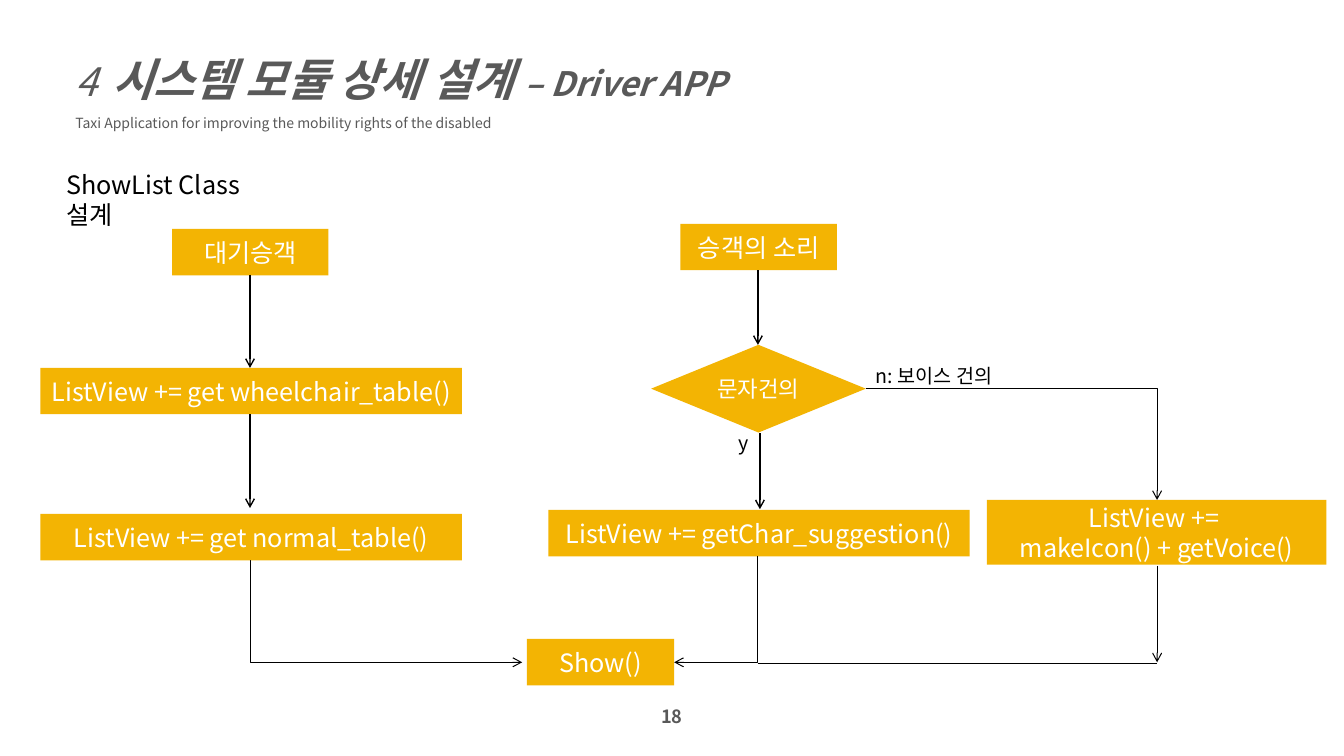
from lxml import etree
from pptx import Presentation
from pptx import util as u
from pptx.dml.color import RGBColor
from pptx.enum import shapes, text
from pptx.oxml.ns import qn

COLORS = {"box": "F3B403", "light": "FFFFFF", "dark": "000000", "title": "595959"}
FONT = "Noto Sans CJK KR"
BOX_HEIGHT = 1.17
WIDE, NARROW = 10.62, 3.94
LEFT_X, MIDDLE_X, RIGHT_X = 6.3, 19.1, 29.16
JOIN_Y = 16.69


class FlowPage:
    def __init__(self, deck):
        self.page = deck.slides.add_slide(deck.slide_layouts[6])

    def style(self, font, size, color, bold=None, italic=None):
        font.name, font.size = FONT, u.Pt(size)
        font.bold, font.italic = bold, italic
        font.color.rgb = RGBColor.from_string(COLORS[color])
        properties = font._element
        for tag in ("a:ea", "a:cs"):
            etree.SubElement(properties, qn(tag)).set("typeface", FONT)

    def text_box(self, x, y, width, height, wrap=True):
        box = self.page.shapes.add_textbox(u.Cm(x), u.Cm(y), u.Cm(width), u.Cm(height))
        box.text_frame.word_wrap = wrap
        box.text_frame.auto_size = text.MSO_AUTO_SIZE.SHAPE_TO_FIT_TEXT
        return box.text_frame

    def label(self, words, x, y, width, height, size, color="dark", wrap=False,
              bold=None, align=None):
        para = self.text_box(x, y, width, height, wrap).paragraphs[0]
        para.alignment = align
        span = para.add_run()
        span.text = words
        self.style(span.font, size, color, bold)

    def title(self, number, name, part, subtitle):
        frame = self.text_box(1.65, 0.51, 20.09, 2.9)
        heading, below = frame.paragraphs[0], frame.add_paragraph()
        for words, size, bold in ((number, 28, None), (" ", 24, None),
                                  (name, 32, True), (part, 24, True)):
            span = heading.add_run()
            span.text = words
            self.style(span.font, size, "title", bold, True)
            if words == " ":
                span.font._element.set("spc", "540")
        span = below.add_run()
        span.text = subtitle
        self.style(span.font, 10, "title", False, False)
        for para in (heading, below):
            para.line_spacing = 1.5

    def node(self, words, x, y, width, height=BOX_HEIGHT, size=18,
             kind=shapes.MSO_SHAPE.RECTANGLE):
        box = self.page.shapes.add_shape(kind, u.Cm(x), u.Cm(y), u.Cm(width), u.Cm(height))
        box.shadow.inherit = False
        box.fill.solid()
        box.fill.fore_color.rgb = RGBColor.from_string(COLORS["box"])
        box.line.fill.background()
        frame = box.text_frame
        frame.word_wrap = True
        frame.vertical_anchor = text.MSO_ANCHOR.MIDDLE
        frame.text = words
        for para in frame.paragraphs:
            para.alignment = text.PP_ALIGN.CENTER
            for span in para.runs:
                self.style(span.font, size, "light")

    def link(self, x1, y1, x2, y2, width=0.75, arrow=True,
             kind=shapes.MSO_CONNECTOR.STRAIGHT):
        line = self.page.shapes.add_connector(kind, u.Cm(x1), u.Cm(y1), u.Cm(x2), u.Cm(y2))
        line.line.width = u.Pt(width)
        line.line.color.rgb = RGBColor.from_string(COLORS["dark"])
        if arrow:
            stroke = line.line._get_or_add_ln()
            etree.SubElement(stroke, qn("a:tailEnd")).set("type", "arrow")
        etree.SubElement(line._element.spPr, qn("a:effectLst"))
        return line

    def elbow(self, x1, y1, x2, y2):
        """Run across, then down."""
        line = self.link(x1, y1, x2, y2, kind=shapes.MSO_CONNECTOR.ELBOW)
        line._element.spPr.find(qn("a:prstGeom")).set("prst", "bentConnector2")
        return line

    def elbow_down_left(self, x1, y1, x2, y2):
        """Run down, then left: an elbow turned a quarter about its centre."""
        middle_x, middle_y = (x1 + x2) / 2, (y1 + y2) / 2
        half_run, half_drop = (x1 - x2) / 2, (y2 - y1) / 2
        line = self.elbow(middle_x - half_drop, middle_y - half_run,
                          middle_x + half_drop, middle_y + half_run)
        line._element.spPr.find(qn("a:xfrm")).set("rot", str(90 * 60000))

    def elbow_down_right(self, x1, y1, x2, y2):
        """Run down, then right, with the bend next to the start."""
        line = self.link(x1, y1, x2, y2, kind=shapes.MSO_CONNECTOR.ELBOW)
        guides = line._element.spPr.find(qn("a:prstGeom")).find(qn("a:avLst"))
        guide = etree.SubElement(guides, qn("a:gd"))
        guide.set("name", "adj1")
        guide.set("fmla", "val 200")


def main():
    deck = Presentation()
    deck.slide_width, deck.slide_height = u.Cm(33.87), u.Cm(19.05)
    flow = FlowPage(deck)
    flow.title("4", "시스템 모듈 상세 설계 ", "– Driver APP",
               "Taxi Application for improving the mobility rights of the disabled")
    flow.label("18", 0, 17.65, 33.87, 0.81, 13, "title", True, True, text.PP_ALIGN.CENTER)
    flow.label("ShowList Class 설계", 1.42, 4.14, 6.1, 1.02, 18, wrap=True)

    # Waiting passengers
    flow.node("대기승객", 4.34, 5.77, NARROW)
    flow.node("ListView += get wheelchair_table()", 1.02, 9.27, WIDE)
    flow.node("ListView += get normal_table()", 1.02, 12.95, WIDE)
    flow.link(LEFT_X, 6.92, LEFT_X, 9.27, 1)
    flow.link(LEFT_X, 10.44, LEFT_X, 12.8, 1)

    # Passenger voices
    flow.node("승객의 소리", 17.15, 5.64, NARROW)
    flow.node("문자건의", 16.41, 8.69, 5.41, 2.21, 16, shapes.MSO_SHAPE.DIAMOND)
    flow.node("ListView += getChar_suggestion()", 13.82, 12.85, WIDE)
    flow.node("ListView += \nmakeIcon() + getVoice()", 24.87, 12.6, 8.56, 1.63)
    flow.link(MIDDLE_X, 6.81, MIDDLE_X, 8.69, 1)
    flow.link(MIDDLE_X + 0.05, 10.92, MIDDLE_X + 0.05, 12.83, 1)
    flow.elbow(21.82, 9.8, RIGHT_X, 12.6)
    flow.label("y", 18.36, 10.74, 0.76, 0.86, 14)
    flow.label("n: 보이스 건의", 21.82, 9.04, 3.76, 0.86, 14)

    # Both branches end in Show()
    flow.node("Show()", 13.28, 16.1, 3.71)
    flow.elbow_down_right(LEFT_X, 14.12, 13.16, JOIN_Y)
    flow.elbow_down_left(MIDDLE_X, 14, 16.99, JOIN_Y)
    flow.link(RIGHT_X, 14.25, RIGHT_X, JOIN_Y)
    flow.link(MIDDLE_X, JOIN_Y + 0.02, RIGHT_X, JOIN_Y + 0.02, 0.5, False)
    deck.save("out.pptx")


if __name__ == "__main__":
    main()
